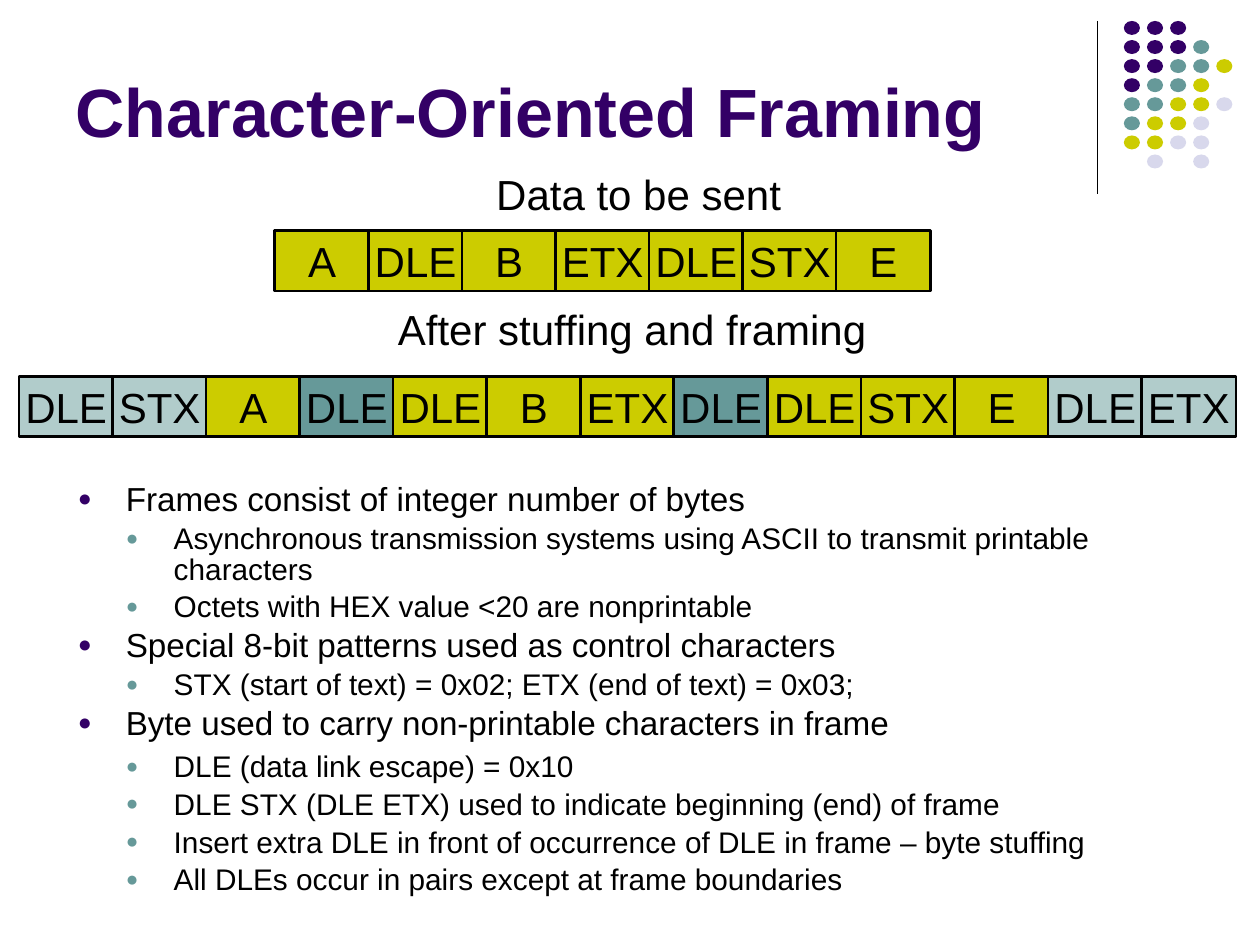
from lxml import etree
from pptx import Presentation
from pptx.dml.color import RGBColor
from pptx.enum.shapes import MSO_CONNECTOR, MSO_SHAPE
from pptx.enum.text import MSO_ANCHOR, PP_ALIGN
from pptx.oxml.ns import qn
from pptx.util import Pt

RECTANGLE, OVAL = MSO_SHAPE.RECTANGLE, MSO_SHAPE.OVAL
STRAIGHT = MSO_CONNECTOR.STRAIGHT
LEFT, CENTER = PP_ALIGN.LEFT, PP_ALIGN.CENTER
MIDDLE, BOTTOM = MSO_ANCHOR.MIDDLE, MSO_ANCHOR.BOTTOM

COLORS = {
    "text": "000000",
    "purple": "330066",
    "teal": "669999",
    "lime": "CCCC00",
    "lavender": "D8D8EC",
    "pale_teal": "B1CCCB",
}


def set_font(paragraph, size, color="text", bold=False):
    paragraph.font.name = "Arial"
    paragraph.font.size = Pt(size)
    paragraph.font.bold = bold
    paragraph.font.color.rgb = RGBColor.from_string(COLORS[color])


def add_filled_shape(kind, left, top, width, height, color):
    shape = slide.shapes.add_shape(kind, Pt(left), Pt(top), Pt(width), Pt(height))
    shape.shadow.inherit = False
    shape.fill.solid()
    shape.fill.fore_color.rgb = RGBColor.from_string(COLORS[color])
    return shape


presentation = Presentation()
presentation.slide_width, presentation.slide_height = Pt(720), Pt(540)
slide = presentation.slides.add_slide(presentation.slide_layouts[5])

# Title
title = slide.shapes.title
title.left, title.top, title.width, title.height = Pt(36), Pt(9.4), Pt(594), Pt(80.6)
title.text_frame.text = "Character-Oriented Framing"
title.text_frame.vertical_anchor = BOTTOM
title.text_frame.paragraphs[0].alignment = LEFT
set_font(title.text_frame.paragraphs[0], 39, "purple", bold=True)

# Corner decoration: vertical rule and dot grid
rule = slide.shapes.add_connector(STRAIGHT, Pt(627), Pt(12), Pt(627), Pt(111))
rule.line.color.rgb = RGBColor.from_string(COLORS["text"])
rule.line.width = Pt(0.75)
etree.SubElement(rule._element.spPr, qn("a:effectLst"))

DOT_COLORS = {"P": "purple", "T": "teal", "L": "lime", "V": "lavender"}
DOT_ROWS = ["PPP", "PPPT", "PPTTL", "PTTL", "TTLLV", "TLLV", "LLVV", " V V"]
for row, codes in enumerate(DOT_ROWS):
    for column, code in enumerate(codes):
        if code in DOT_COLORS:
            dot = add_filled_shape(OVAL, 642.2 + 13.2 * column, 12 + 10.9 * row,
                                   9.2, 8, DOT_COLORS[code])
            dot.line.fill.background()

# Captions above the byte sequences
for caption, left, top, width in [
    ("Data to be sent", 276.5, 92.9, 177),
    ("After stuffing and framing", 220.3, 170, 282),
]:
    box = slide.shapes.add_textbox(Pt(left), Pt(top), Pt(width), Pt(36))
    box.text_frame.word_wrap = False
    box.text_frame.text = caption
    set_font(box.text_frame.paragraphs[0], 24)

# Byte sequences: data in lime, stuffed bytes in teal, frame marks in pale teal
CELL_PITCH = 53.46
data = [(byte, "lime") for byte in "A DLE B ETX DLE STX E".split()]
framed = [("DLE", "pale_teal"), ("STX", "pale_teal")]
for byte, color in data:
    if byte == "DLE":
        framed.append(("DLE", "teal"))
    framed.append((byte, color))
framed += [("DLE", "pale_teal"), ("ETX", "pale_teal")]

for sequence, left, top in [(data, 157, 131.6), (framed, 10.8, 215)]:
    for index, (byte, color) in enumerate(sequence):
        cell = add_filled_shape(RECTANGLE, left + CELL_PITCH * index, top, 54, 34.6, color)
        cell.line.color.rgb = RGBColor.from_string(COLORS["text"])
        cell.line.width = Pt(1.5)
        cell.text_frame.word_wrap = False
        cell.text_frame.vertical_anchor = MIDDLE
        cell.text_frame.text = byte
        cell.text_frame.paragraphs[0].alignment = CENTER
        set_font(cell.text_frame.paragraphs[0], 24)

# Bulleted explanation: level, space before, text
BULLETS = [
    (0, 4.8, "Frames consist of integer number of bytes"),
    (1, 4.2, "Asynchronous transmission systems using ASCII to transmit printable characters"),
    (1, 4.2, "Octets with HEX value <20 are nonprintable"),
    (0, 4.8, "Special 8-bit patterns used as control characters"),
    (1, 4.2, "STX (start of text) = 0x02; ETX (end of text) = 0x03;"),
    (0, 4.8, "Byte used to carry non-printable characters in frame"),
    (1, 6.5, "DLE (data link escape) = 0x10"),
    (1, 4.2, "DLE STX (DLE ETX) used to indicate beginning (end) of frame"),
    (1, 4.2, "Insert extra DLE in front of occurrence of DLE in frame – byte stuffing"),
    (1, 4.2, "All DLEs occur in pairs except at frame boundaries"),
]
LEVEL_STYLES = [(19, 0.8, "purple"), (17, 0.85, "teal")]  # size, line spacing, bullet
INDENT = 27.4
body = slide.shapes.add_textbox(Pt(37.4), Pt(274.3), Pt(646.6), Pt(237.6))
body.text_frame.word_wrap = True
for index, (level, space_before, text) in enumerate(BULLETS):
    size, line_spacing, bullet_color = LEVEL_STYLES[level]
    frame = body.text_frame
    paragraph = frame.add_paragraph() if index else frame.paragraphs[0]
    paragraph.text = text
    paragraph.level = level
    paragraph.line_spacing = line_spacing
    paragraph.space_before = Pt(space_before)
    properties = paragraph._p.get_or_add_pPr()
    properties.set("marL", str(Pt(INDENT * (level + 1))))
    properties.set("indent", str(Pt(-INDENT)))
    color_element = etree.SubElement(properties, qn("a:buClr"))
    etree.SubElement(color_element, qn("a:srgbClr"), val=COLORS[bullet_color])
    etree.SubElement(properties, qn("a:buSzPct"), val="70000")
    etree.SubElement(properties, qn("a:buFont"), typeface="Arial")
    etree.SubElement(properties, qn("a:buChar"), char="●")
    set_font(paragraph, size)

presentation.save("out.pptx")
